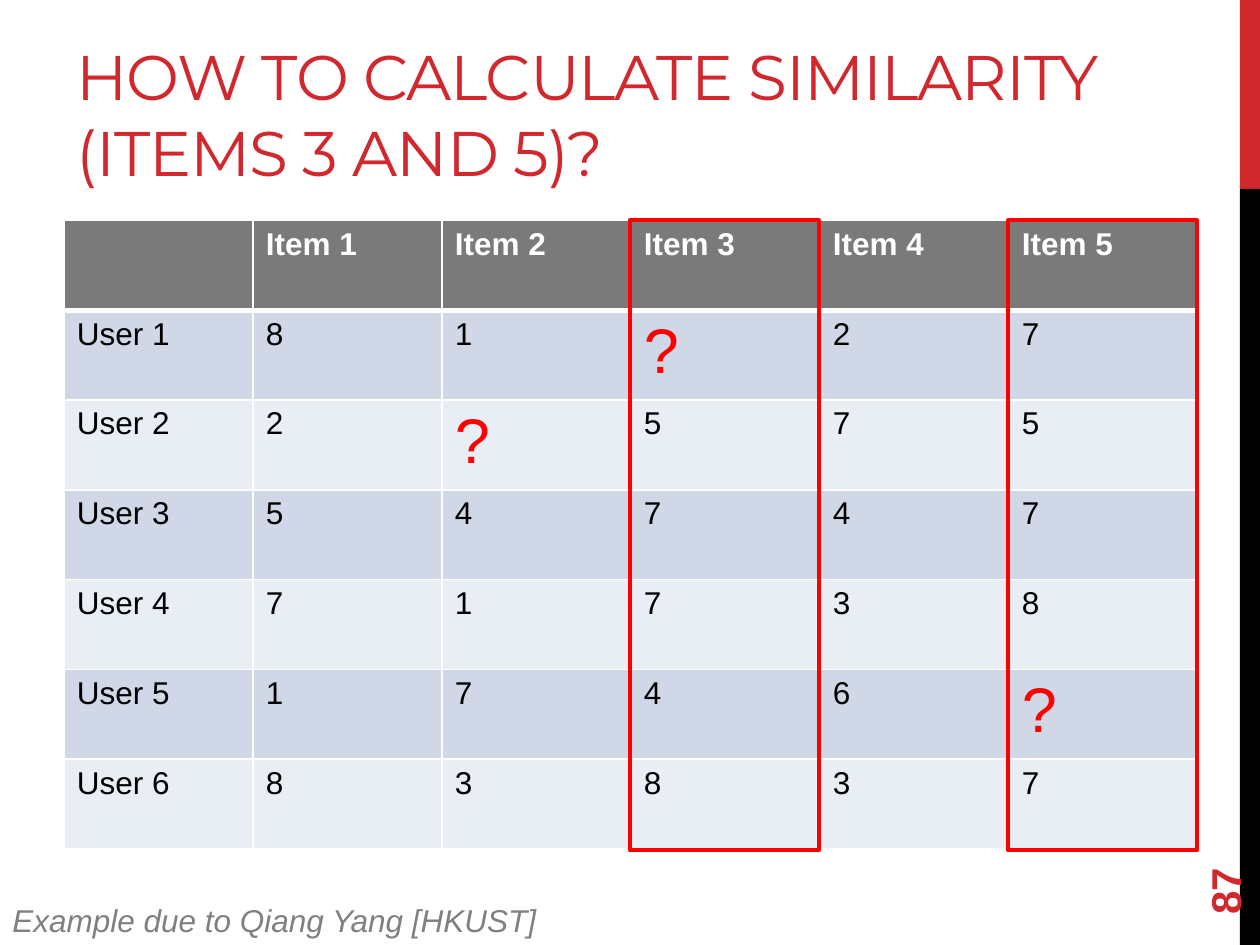
from pptx import Presentation
from pptx import util as u
from pptx.dml.color import RGBColor
from pptx.enum import shapes, text
from pptx.oxml import parse_xml
from pptx.oxml.ns import nsdecls

RED, MARK, WHITE, BLACK = "D1282E", "FF0000", "FFFFFF", "000000"
HEADER, BANDS = "7A7A7A", ("E9EDF4", "D0D8E8")
LEFT, TOP, COL, ROW = 0.51, 1.75, 1.5, 4.99 / 7  # table grid, inches


def color(hex_code):
    return RGBColor.from_string(hex_code)


def style(paragraph, size, hex_code, face="Arial", bold=False, italic=False):
    font = paragraph.font
    font.name, font.size, font.bold, font.italic = face, u.Pt(size), bold, italic
    font.color.rgb = color(hex_code)


deck = Presentation()
deck.slide_width, deck.slide_height = u.Inches(10), u.Inches(7.5)
slide = deck.slides.add_slide(deck.slide_layouts[6])

# Side band: red top fifth, black below
for top, height, hue in ((0, 1.5, RED), (1.5, 6, BLACK)):
    band = slide.shapes.add_shape(shapes.MSO_SHAPE.RECTANGLE, u.Inches(9.84),
                                  u.Inches(top), u.Inches(0.16), u.Inches(height))
    band.shadow.inherit = False
    band.fill.solid()
    band.fill.fore_color.rgb = color(hue)
    band.line.fill.background()

# Title, page number and credit
captions = (
    ("HOW TO CALCULATE SIMILARITY (ITEMS 3 AND 5)?", (LEFT, 0.3, 9, 1.25), 0,
     text.MSO_ANCHOR.BOTTOM, True, dict(size=36, hex_code=RED, face="Montserrat")),
    ("87", (9, 6.44, 1.44, 0.4), 270,
     text.MSO_ANCHOR.MIDDLE, True, dict(size=24, hex_code=RED, bold=True)),
    ("Example due to Qiang Yang [HKUST]", (0, 7.1, 4.4, 0.4), 0,
     text.MSO_ANCHOR.TOP, False, dict(size=18, hex_code="808080", italic=True)),
)
for wording, place, turn, anchor, wrap, look in captions:
    caption = slide.shapes.add_textbox(*map(u.Inches, place))
    caption.rotation = turn
    frame = caption.text_frame
    frame.word_wrap, frame.vertical_anchor = wrap, anchor
    line = frame.paragraphs[0]
    line.text = wording
    style(line, **look)
    if look["size"] == 36:  # tighten the title's letters
        line.runs[0].font._element.set("spc", "-60")

# Ratings table
ratings = ["81?27", "2?575", "54747", "71738", "1746?", "83837"]
rows = [["", *(f"Item {n}" for n in range(1, 6))]]
rows += [[f"User {n}", *scores] for n, scores in enumerate(ratings, 1)]
table = slide.shapes.add_table(len(rows), len(rows[0]), u.Inches(LEFT), u.Inches(TOP),
                               u.Inches(6 * COL), u.Inches(7 * ROW)).table
for r, values in enumerate(rows):
    for c, value in enumerate(values):
        cell = table.cell(r, c)
        props = cell._tc.get_or_add_tcPr()
        for side in "LRTB":
            thick = (r, side) in ((0, "B"), (1, "T"))
            props.append(parse_xml(
                f'<a:ln{side} {nsdecls("a")} w="{u.Pt(3 if thick else 1)}"><a:solidFill>'
                f'<a:srgbClr val="{WHITE}"/></a:solidFill></a:ln{side}>'))
        cell.fill.solid()
        cell.fill.fore_color.rgb = color(BANDS[r % 2] if r else HEADER)
        entry = cell.text_frame.paragraphs[0]
        entry.text = value
        if value == "?":
            style(entry, 36, MARK)
        else:
            style(entry, 18, BLACK if r else WHITE, bold=r == 0)

# Frames around the two compared items
for item in (3, 5):
    outline = slide.shapes.add_shape(
        shapes.MSO_SHAPE.RECTANGLE, u.Inches(5 + (item - 3) * COL), u.Inches(TOP),
        u.Inches(COL), u.Inches(5))
    outline.shadow.inherit = False
    outline.fill.background()
    outline.line.color.rgb = color(MARK)
    outline.line.width = u.Pt(2.25)

deck.save("out.pptx")
